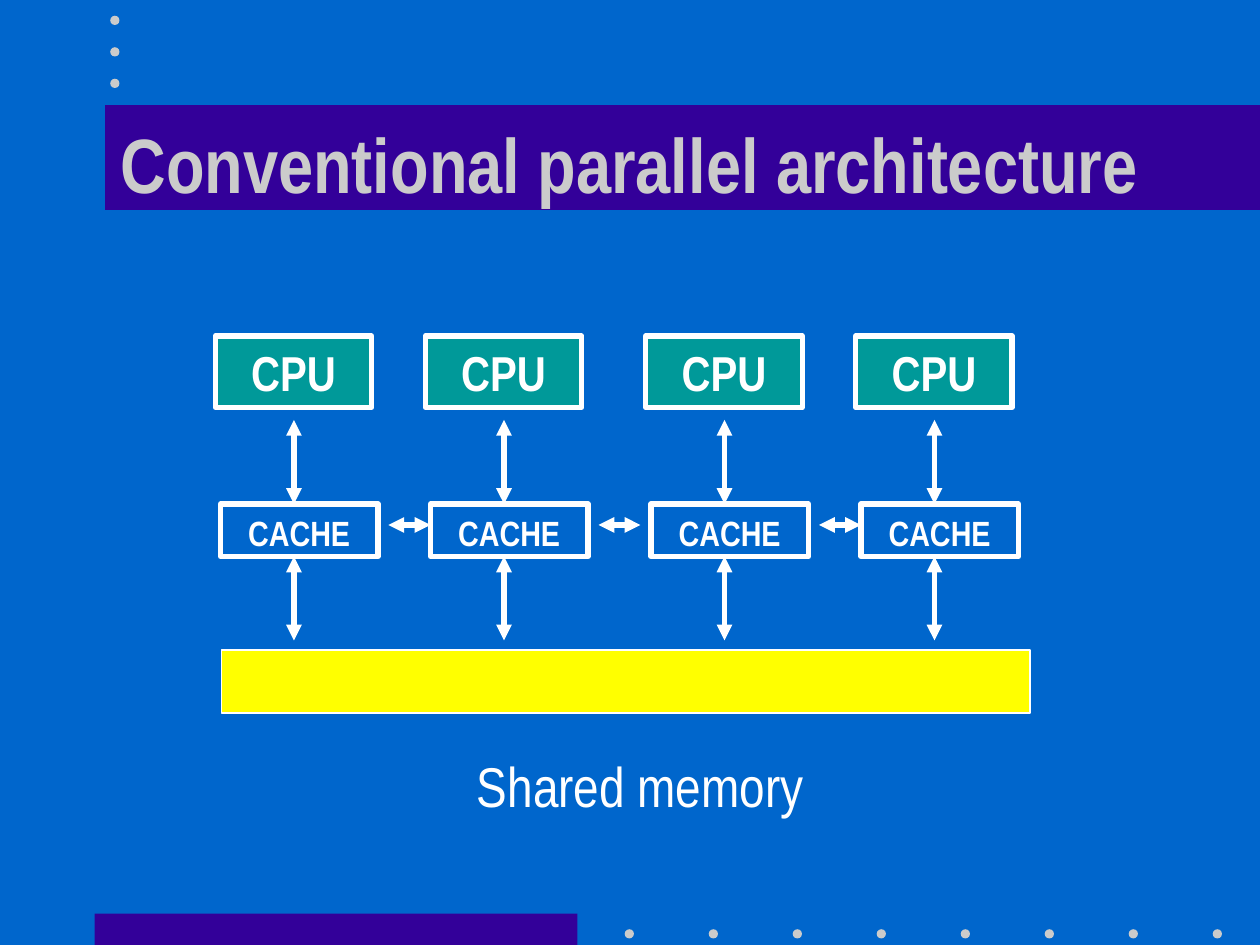
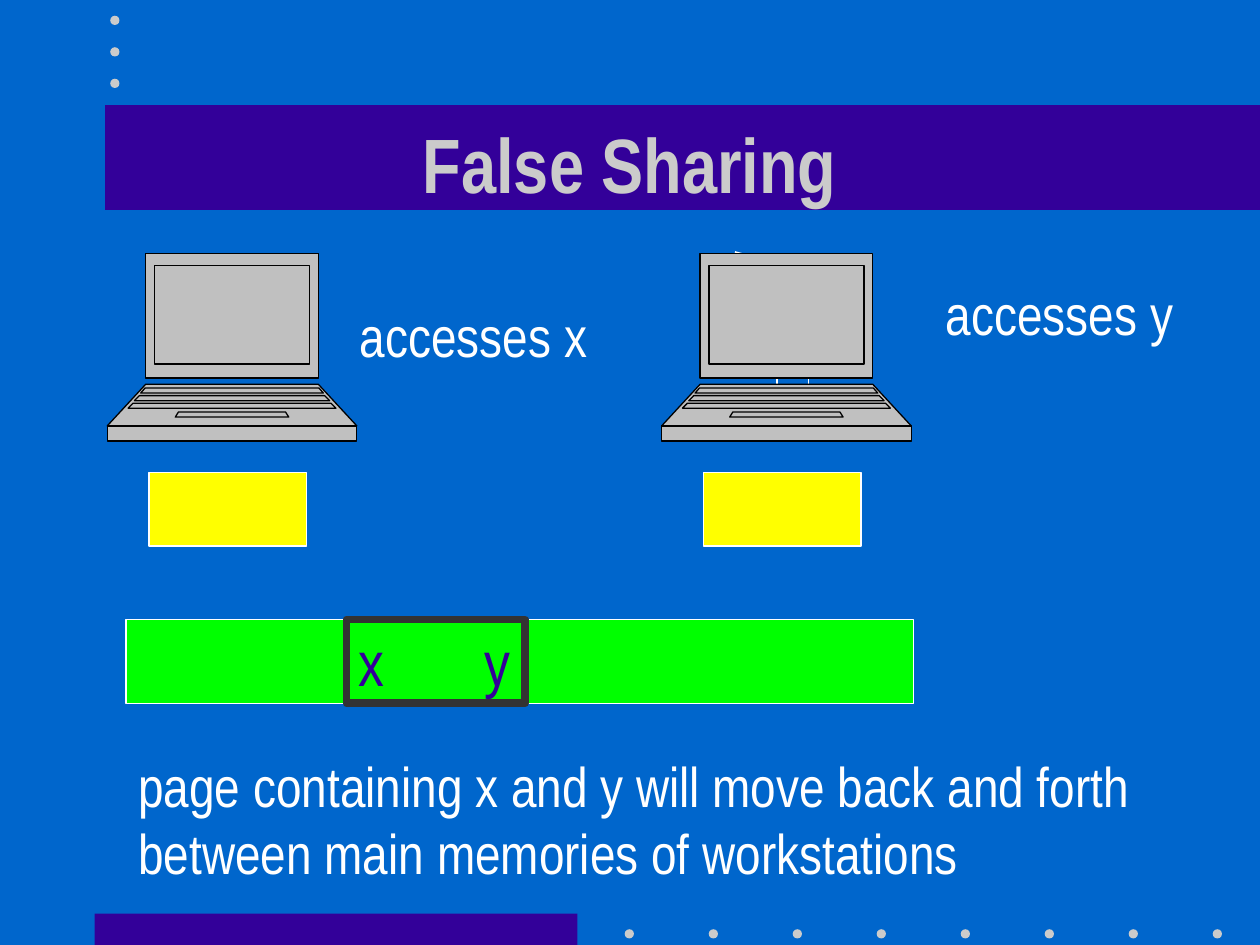
from lxml.etree import SubElement
from pptx import Presentation
from pptx.dml.color import RGBColor
from pptx.enum.shapes import MSO_CONNECTOR, MSO_SHAPE
from pptx.enum.text import MSO_ANCHOR, MSO_AUTO_SIZE, PP_ALIGN
from pptx.oxml.ns import qn
from pptx.util import Inches, Pt

FONT = "Arial Narrow"
BLUE, INDIGO, SILVER, WHITE = "0066CC", "330099", "CBCBCB", "FFFFFF"
TEAL, YELLOW, GREEN, CHARCOAL = "009999", "FFFF00", "00FF00", "333333"
LAPTOP_GREY, BLACK = "C0C0C0", "000000"

COLUMNS, ROWS = 120, 90
CACHE_COLUMNS = (21, 41, 62, 82)
LAPTOP_CENTRES = (22.1, 74.9)
# half width at top, half width at bottom, top row, bottom row
LAPTOP_PANELS = (
    (8.22, 8.22, 24.12, 36),
    (8.22, 11.88, 36.6, 40.56),
    (11.88, 11.88, 40.56, 42),
    (7.38, 7.38, 25.32, 34.68),
    (8.28, 8.7, 36.96, 37.44),
    (5.1, 5.4, 39.24, 39.72),
    (8.82, 9.3, 37.68, 38.16),
    (9.42, 9.9, 38.4, 38.88),
)


def cells(*counts):
    return [Inches(count / 12) for count in counts]


def rgb(hex_colour):
    return RGBColor.from_string(hex_colour)


def paint(shape, fill=None, line=None, weight=1):
    shape.shadow.inherit = False
    if fill:
        shape.fill.solid()
        shape.fill.fore_color.rgb = rgb(fill)
    else:
        shape.fill.background()
    if line:
        shape.line.color.rgb = rgb(line)
        shape.line.width = Pt(weight)
    else:
        shape.line.fill.background()


def write(shape, words, size=32, colour=WHITE, bold=False,
          align=PP_ALIGN.LEFT, anchor=MSO_ANCHOR.TOP, right_tab=None):
    frame = shape.text_frame
    frame.auto_size = MSO_AUTO_SIZE.NONE
    frame.word_wrap = True
    frame.vertical_anchor = anchor
    paragraph = frame.paragraphs[0]
    paragraph.text = words
    paragraph.alignment = align
    if right_tab:
        stops = SubElement(paragraph._p.get_or_add_pPr(), qn("a:tabLst"))
        SubElement(stops, qn("a:tab"), pos=str(cells(right_tab)[0]), algn="r")
    for run in paragraph.runs:
        run.font.name = FONT
        run.font.size = Pt(size)
        run.font.bold = bold
        run.font.color.rgb = rgb(colour)


def add_block(slide, area, kind=MSO_SHAPE.RECTANGLE, **look):
    block = slide.shapes.add_shape(kind, *cells(*area))
    paint(block, **look)
    return block


def add_label(slide, area, words, **format):
    write(slide.shapes.add_textbox(*cells(*area)), words, **format)


def add_line(slide, start, end, weight=1, arrows=False):
    connector = slide.shapes.add_connector(
        MSO_CONNECTOR.STRAIGHT, *cells(*start, *end))
    connector.line.color.rgb = rgb(WHITE)
    connector.line.width = Pt(weight)
    if arrows:
        for tip in ("a:headEnd", "a:tailEnd"):
            SubElement(connector.line._get_or_add_ln(), qn(tip), type="triangle")
    SubElement(connector._element.spPr, qn("a:effectLst"))


def add_double_arrow(slide, start, end):
    add_line(slide, start, end, weight=3, arrows=True)


def add_laptop(slide, centre):
    for half_top, half_bottom, top, bottom in LAPTOP_PANELS:
        corners = [cells(centre + half, row) for half, row in (
            (-half_top, top), (half_top, top),
            (half_bottom, bottom), (-half_bottom, bottom))]
        outline = slide.shapes.build_freeform(*corners[0])
        outline.add_line_segments(corners[1:], close=True)
        paint(outline.convert_to_shape(), LAPTOP_GREY, BLACK, 0.75)


def move_frame_to_layout(slide, layout):
    dots = [(59.5 + 8 * step, 88.5) for step in range(8)]
    dots += [(10.5, 1.5 + 3 * step) for step in range(3)]
    frame = [add_block(slide, (9, 87, 46, 3), fill=INDIGO),
             add_block(slide, (10, 10, COLUMNS - 10, 10), fill=INDIGO)]
    frame += [add_block(slide, (*dot, 0.88, 0.88), MSO_SHAPE.OVAL, fill=SILVER)
              for dot in dots]
    for position, part in enumerate(frame, start=2):
        layout.shapes.element.insert(position, part.element)


def add_titled_slide(presentation, words):
    slide = presentation.slides.add_slide(presentation.slide_layouts[5])
    title = slide.shapes.title
    title.left, title.top, title.width, title.height = cells(9, 8, 102, 15)
    write(title, words, size=44, colour=SILVER, bold=True,
          align=PP_ALIGN.CENTER, anchor=MSO_ANCHOR.MIDDLE)
    return slide


def draw_architecture(slide):
    centred = {"align": PP_ALIGN.CENTER}
    for column in CACHE_COLUMNS:
        cpu = add_block(slide, (column - 0.5, 32, 14.9, 6.8),
                        fill=TEAL, line=WHITE, weight=3)
        write(cpu, "CPU", size=28, bold=True, **centred)
        add_label(slide, (column + 1, 48.1, 13, 5.3), "CACHE",
                  size=20, bold=True, **centred)
        add_block(slide, (column, 48, 15, 5), line=WHITE, weight=3)
        for top, bottom in ((40, 48), (53, 61)):
            add_double_arrow(slide, (column + 7, top), (column + 7, bottom))
    for column in CACHE_COLUMNS[:-1]:
        add_double_arrow(slide, (column + 16, 50), (column + 20, 50))
    add_block(slide, (21.1, 61.9, 77, 6), fill=YELLOW, line=WHITE)
    add_label(slide, (43, 71, 36, 7.7), "Shared memory", **centred)


def draw_false_sharing(slide):
    for start, end in (((70, 36), (81, 33)), ((70, 24), (81, 27)),
                       ((74, 35), (74, 37)), ((77, 34), (77, 37))):
        add_line(slide, start, end)
    add_label(slide, (33.1, 28.1, 26, 7.7), "accesses x")
    add_label(slide, (88.9, 26, 26, 7.7), "accesses y")
    for centre in LAPTOP_CENTRES:
        add_laptop(slide, centre)
        add_block(slide, (centre - 7.9, 45, 15, 7), fill=YELLOW, line=WHITE)
    add_block(slide, (12, 59, 75, 8), fill=GREEN, line=WHITE)
    page = add_block(slide, (33, 59, 17, 8), fill=GREEN, line=CHARCOAL, weight=4.5)
    write(page, "x\ty", size=36, colour=INDIGO,
          anchor=MSO_ANCHOR.MIDDLE, right_tab=14.4)
    add_label(slide, (12, 71, 102, 14),
              "page containing x and y will move back and forth\n"
              "between main memories of workstations")


def main():
    presentation = Presentation()
    presentation.slide_width, presentation.slide_height = cells(COLUMNS, ROWS)
    background = presentation.slide_master.background.fill
    background.solid()
    background.fore_color.rgb = rgb(BLUE)

    architecture = add_titled_slide(presentation, "Conventional parallel architecture")
    move_frame_to_layout(architecture, architecture.slide_layout)
    draw_architecture(architecture)
    draw_false_sharing(add_titled_slide(presentation, "False Sharing"))
    presentation.save("out.pptx")


if __name__ == "__main__":
    main()
